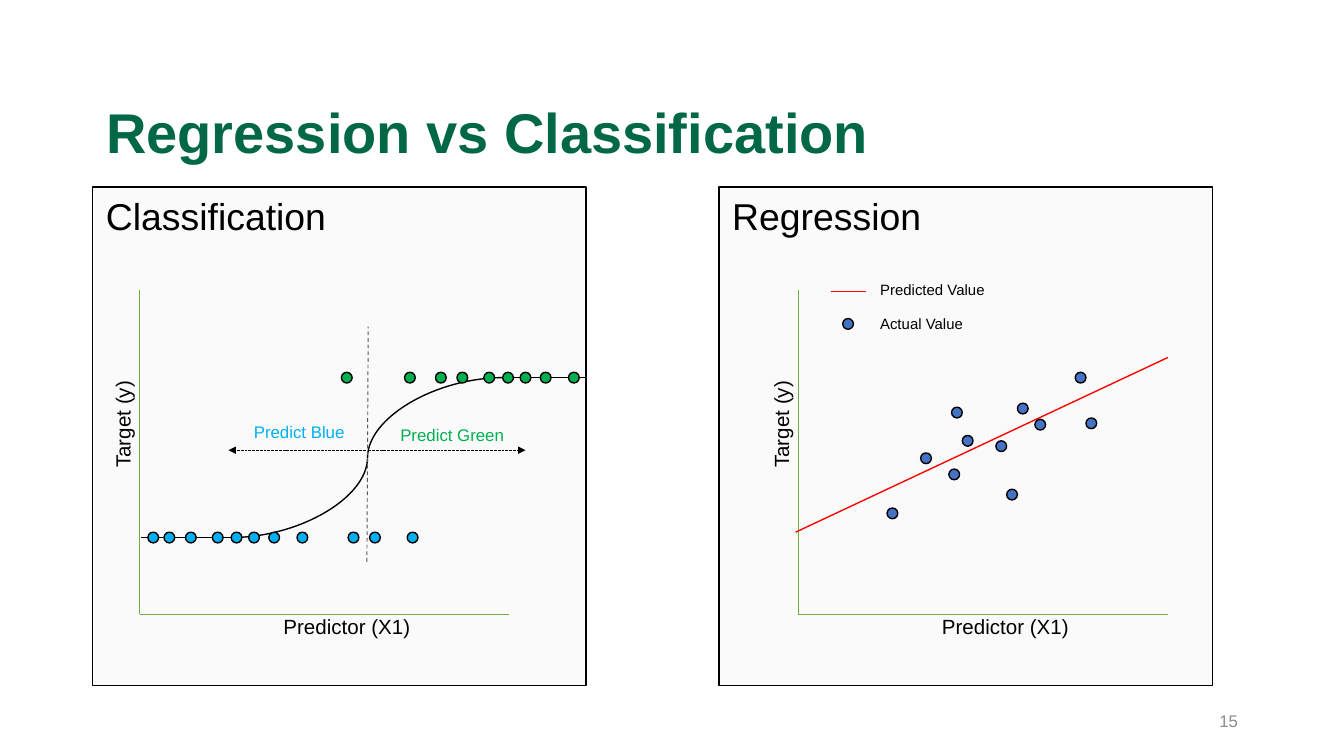
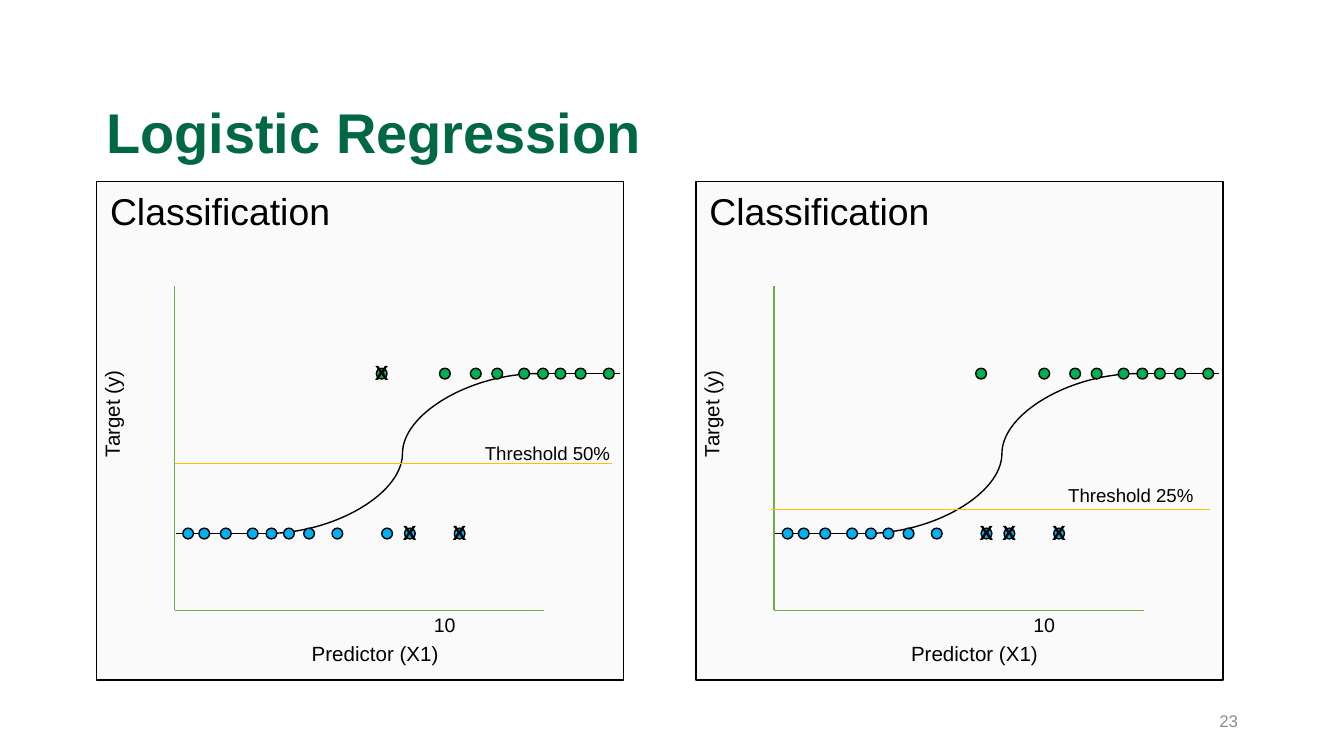
from dataclasses import dataclass

from lxml import etree
from pptx import Presentation
from pptx.dml.color import RGBColor
from pptx.enum import dml, shapes, text
from pptx.oxml.ns import qn
from pptx.util import Inches, Pt


@dataclass(frozen=True)
class Theme:
    font: str = "Arial"
    title: str = "006747"
    ink: str = "000000"
    muted: str = "8C8C8C"
    panel: str = "FAFAFA"
    axis: str = "70AD47"
    fit: str = "FF0000"
    threshold: str = "FFC000"
    divider: str = "595959"
    actual: str = "4472C4"
    green: str = "00B050"
    blue: str = "00B0F0"
    title_size: float = 30
    heading_size: float = 20
    axis_size: float = 11
    tick_size: float = 10.5
    threshold_size: float = 10
    small_size: float = 9
    legend_size: float = 8
    line: float = 0.75
    thin: float = 0.5


THEME = Theme()

# Content: positions inside a plot are measured from its axis corner
SLIDE_WIDTH = Inches(10)
SLIDE_HEIGHT = SLIDE_WIDTH * 9 // 16
DOT = 0.08
AXIS_WIDTH, AXIS_HEIGHT = 2.75, 2.41
LOW, HIGH = -0.57, -1.76
GREEN_DOTS = [1.50, 1.97, 2.20, 2.36, 2.56, 2.70, 2.83, 2.98, 3.19]
BLUE_DOTS = [0.06, 0.18, 0.34, 0.54, 0.68, 0.81, 0.96, 1.17]
ACTUAL_DOTS = [
    (0.66, -0.79), (0.91, -1.20), (1.12, -1.08), (1.22, -1.33),
    (1.47, -1.29), (1.14, -1.54), (1.55, -0.93), (1.63, -1.57),
    (1.76, -1.45), (2.06, -1.80), (2.14, -1.46),
]
X_LABEL, Y_LABEL = "Predictor (X1)", "Target (y)"

COMPARISON = {
    "title": "Regression vs Classification",
    "number": "15",
    "panel_size": (3.67, 3.71),
    "x_label_at": (0.97, -0.05),
    "y_label_at": (-0.56, -1.57),
    "late_blue": [1.55, 1.71, 1.99],
    "panels": [
        {"heading": "Classification", "at": (0.69, 1.39), "origin": (1.04, 4.57)},
        {"heading": "Regression", "at": (5.35, 1.39), "origin": (5.94, 4.57)},
    ],
}
THRESHOLDS = {
    "title": "Logistic Regression",
    "number": "23",
    "panel_size": (3.92, 3.71),
    "x_label_at": (0.92, 0.18),
    "y_label_at": (-0.90, -1.62),
    "late_blue": [1.54, 1.71, 2.08],
    "panels": [
        {"heading": "Classification", "at": (0.72, 1.35), "origin": (1.30, 4.54),
         "threshold": "Threshold 50%", "level": -1.09, "span": (0, 3.25),
         "label_at": (2.21, -1.30),
         "missed": [(1.71, LOW), (2.08, LOW), (1.50, HIGH)]},
        {"heading": "Classification", "at": (5.18, 1.35), "origin": (5.76, 4.54),
         "threshold": "Threshold 25%", "level": -0.75, "span": (-0.02, 3.24),
         "label_at": (2.09, -0.99),
         "missed": [(1.71, LOW), (2.08, LOW), (1.54, LOW)]},
    ],
}


# Drawing helpers
def set_all(target, values):
    for name, value in values.items():
        setattr(target, name, value)


def write(shape, words, size, color=THEME.ink, bold=False, frame=None, paragraph=None):
    set_all(shape.text_frame, frame or {})
    first = shape.text_frame.paragraphs[0]
    set_all(first, {"alignment": text.PP_ALIGN.LEFT, **(paragraph or {})})
    run = first.add_run()
    run.text = words
    set_all(run.font, {"name": THEME.font, "size": Pt(size), "bold": bold})
    run.font.color.rgb = RGBColor.from_string(color)


def add_label(slide, words, left, top, width, height, size,
              color=THEME.ink, bold=False, rotation=0, wrap=False):
    box = slide.shapes.add_textbox(*map(Inches, (left, top, width, height)))
    box.rotation = rotation
    write(box, words, size, color, bold,
          {"word_wrap": wrap, "auto_size": text.MSO_AUTO_SIZE.SHAPE_TO_FIT_TEXT})


def add_outlined(slide, kind, left, top, width, height, fill):
    shape = slide.shapes.add_shape(kind, *map(Inches, (left, top, width, height)))
    shape.shadow.inherit = False
    shape.fill.solid()
    shape.fill.fore_color.rgb = RGBColor.from_string(fill)
    shape.line.color.rgb = RGBColor.from_string(THEME.ink)
    shape.line.width = Pt(THEME.line)
    return shape


def add_dot(slide, left, top, fill):
    add_outlined(slide, shapes.MSO_SHAPE.OVAL, left, top, DOT, DOT, fill)


def add_line(slide, start, end, color=THEME.ink, width=THEME.line,
             dash=None, arrow=False, kind=shapes.MSO_CONNECTOR.STRAIGHT):
    connector = slide.shapes.add_connector(kind, *map(Inches, (*start, *end)))
    connector.line.color.rgb = RGBColor.from_string(color)
    set_all(connector.line, {"width": Pt(width), "dash_style": dash})
    if arrow:
        etree.SubElement(connector.line._get_or_add_ln(), qn("a:tailEnd"),
                         type="triangle", w="sm", len="sm")
    etree.SubElement(connector._element.spPr, qn("a:effectLst"))


def plot_point(origin):
    return lambda x, y: (round(origin[0] + x, 2), round(origin[1] + y, 2))


# Shared slide parts
def add_slide(presentation, content):
    slide = presentation.slides.add_slide(presentation.slide_layouts[5])
    title = slide.shapes.title
    bounds = map(Inches, (0.69, 0.63, 8.62, 0.76))
    set_all(title, dict(zip(("left", "top", "width", "height"), bounds)))
    middle = {"vertical_anchor": text.MSO_ANCHOR.MIDDLE, "word_wrap": True}
    write(title, content["title"], THEME.title_size, THEME.title, True,
          middle, {"line_spacing": 0.9})
    number = slide.shapes.add_textbox(*map(Inches, (7.06, 5.21, 2.25, 0.3)))
    write(number, content["number"], THEME.small_size, THEME.muted,
          frame=middle, paragraph={"alignment": text.PP_ALIGN.RIGHT})
    return slide


def add_panel(slide, content, panel):
    """Draw the frame, heading, axes and axis labels."""
    frame = add_outlined(slide, shapes.MSO_SHAPE.RECTANGLE,
                         *panel["at"], *content["panel_size"], THEME.panel)
    write(frame, panel["heading"], THEME.heading_size,
          frame={"vertical_anchor": text.MSO_ANCHOR.TOP})
    point = plot_point(panel["origin"])
    add_line(slide, point(0, -AXIS_HEIGHT), point(0, 0), THEME.axis)
    add_line(slide, point(AXIS_WIDTH, 0), point(0, 0), THEME.axis, THEME.thin)
    add_label(slide, X_LABEL, *point(*content["x_label_at"]), 1.15, 0.29, THEME.axis_size)
    add_label(slide, Y_LABEL, *point(*content["y_label_at"]), 0.87, 0.29,
              THEME.axis_size, rotation=270)
    return point


def add_logistic_curve(slide, point):
    add_line(slide, point(0.01, LOW), point(0.70, LOW))
    add_line(slide, point(0.68, LOW), point(2.71, HIGH), kind=shapes.MSO_CONNECTOR.CURVE)
    add_line(slide, point(2.71, HIGH), point(3.31, HIGH))


def add_class_dots(slide, point, late_blue):
    for row, color, lefts in ((HIGH, THEME.green, GREEN_DOTS),
                              (LOW, THEME.blue, BLUE_DOTS + late_blue)):
        for left in lefts:
            add_dot(slide, *point(left, row - DOT / 2), color)


# Plots that differ from panel to panel
def add_prediction_split(slide, point):
    add_label(slide, "Predict Blue", *point(0.75, -1.48), 0.88, 0.25,
              THEME.small_size, THEME.blue)
    add_label(slide, "Predict Green", *point(1.84, -1.46), 0.98, 0.25,
              THEME.small_size, THEME.green)
    add_line(slide, point(1.69, -0.39), point(1.70, -2.14), THEME.divider,
             THEME.thin, dml.MSO_LINE.DASH)
    for start, end in ((1.70, 2.87), (1.68, 0.66)):
        add_line(slide, point(start, -1.22), point(end, -1.22), width=THEME.thin,
                 dash=dml.MSO_LINE.SQUARE_DOT, arrow=True)


def add_regression_plot(slide, point):
    add_line(slide, point(-0.02, -0.61), point(2.75, -1.91), THEME.fit)
    for left, top in ACTUAL_DOTS:
        add_dot(slide, *point(left, top), THEME.actual)
    # Legend
    add_line(slide, point(0.24, -2.40), point(0.50, -2.40), THEME.fit)
    add_dot(slide, *point(0.33, -2.20), THEME.actual)
    add_label(slide, "Predicted Value", *point(0.51, -2.53), 1, 0.24, THEME.legend_size)
    add_label(slide, "Actual Value", *point(0.51, -2.28), 0.84, 0.24, THEME.legend_size)


def add_threshold(slide, point, panel):
    start, end = panel["span"]
    add_label(slide, "10", *point(1.83, -0.03), 0.98, 0.29, THEME.tick_size, wrap=True)
    add_line(slide, point(start, panel["level"]), point(end, panel["level"]),
             THEME.threshold)
    add_label(slide, panel["threshold"], *point(*panel["label_at"]), 1.14, 0.27,
              THEME.threshold_size)
    for left, row in panel["missed"]:
        add_label(slide, "X", *point(left - 0.11, row - 0.15), 0.31, 0.29,
                  THEME.axis_size, bold=True)


def main():
    presentation = Presentation()
    set_all(presentation, {"slide_width": SLIDE_WIDTH, "slide_height": SLIDE_HEIGHT})

    # Regression vs Classification
    slide = add_slide(presentation, COMPARISON)
    classification, regression = COMPARISON["panels"]
    add_regression_plot(slide, add_panel(slide, COMPARISON, regression))
    point = add_panel(slide, COMPARISON, classification)
    add_logistic_curve(slide, point)
    add_prediction_split(slide, point)
    add_class_dots(slide, point, COMPARISON["late_blue"])

    # Logistic Regression
    slide = add_slide(presentation, THRESHOLDS)
    for panel in THRESHOLDS["panels"]:
        point = add_panel(slide, THRESHOLDS, panel)
        add_logistic_curve(slide, point)
        add_class_dots(slide, point, THRESHOLDS["late_blue"])
        add_threshold(slide, point, panel)

    presentation.save("out.pptx")


if __name__ == "__main__":
    main()
